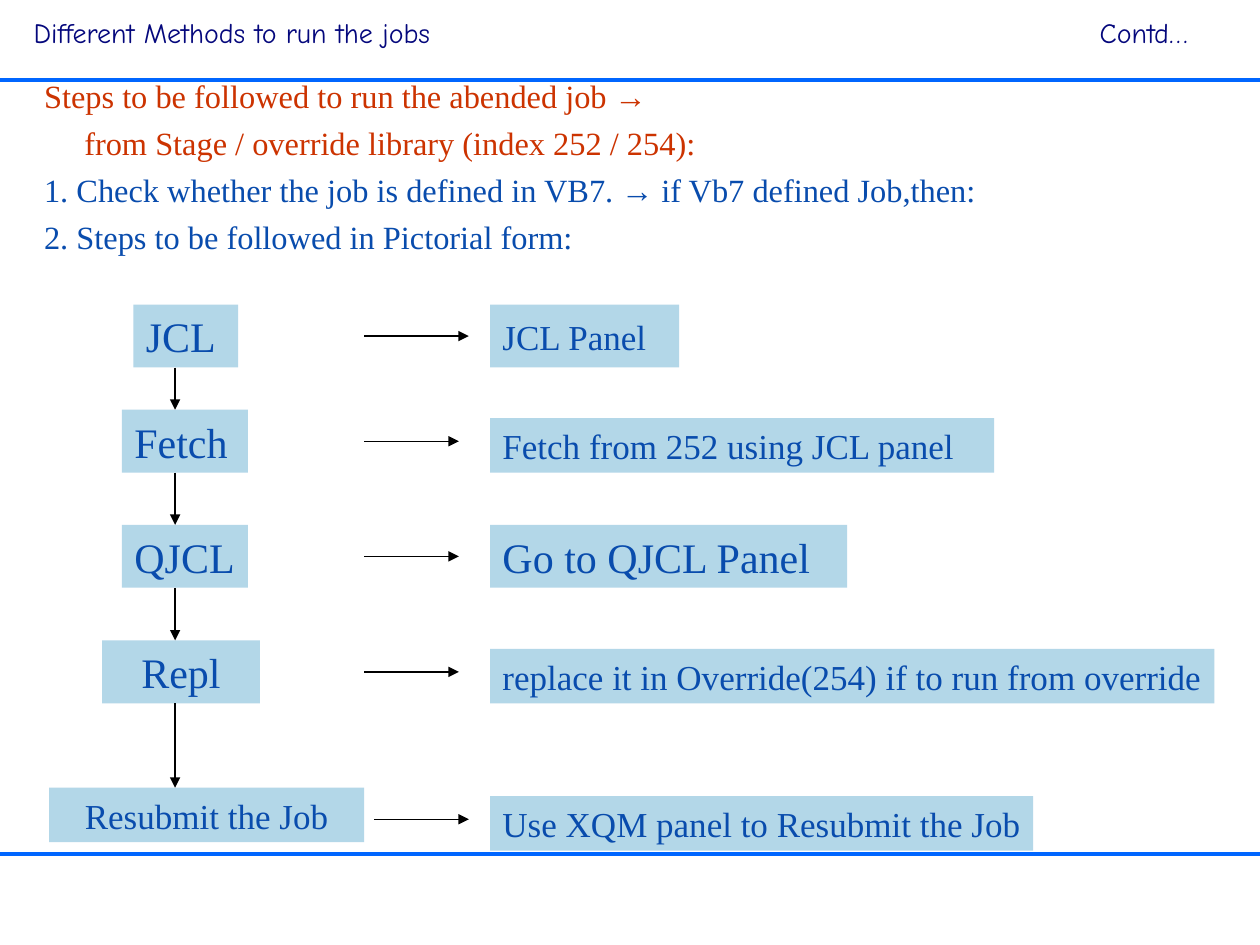
from dataclasses import dataclass

from lxml import etree
from pptx import Presentation
from pptx.dml.color import RGBColor
from pptx.enum.shapes import MSO_CONNECTOR, MSO_SHAPE
from pptx.enum.text import MSO_ANCHOR, PP_ALIGN
from pptx.oxml.ns import qn
from pptx.util import Cm, Pt

STRAIGHT = MSO_CONNECTOR.STRAIGHT
RECT = MSO_SHAPE.RECTANGLE
MIDDLE = MSO_ANCHOR.MIDDLE
LEFT, CENTER = PP_ALIGN.LEFT, PP_ALIGN.CENTER


@dataclass(frozen=True)
class Theme:
    title: RGBColor = RGBColor(0x04, 0x07, 0x7C)
    heading: RGBColor = RGBColor(0xCC, 0x33, 0x00)
    body: RGBColor = RGBColor(0x09, 0x4C, 0xAD)
    box: RGBColor = RGBColor(0xB3, 0xD7, 0xE8)
    rule: RGBColor = RGBColor(0x00, 0x66, 0xFF)
    arrow: RGBColor = RGBColor(0x00, 0x00, 0x00)
    title_font: str = "Comic Neue"
    body_font: str = "Times New Roman"
    symbol_font: str = "Arial"
    title_size: float = 16
    intro_size: float = 18.5
    large: float = 24
    small: float = 20


T = Theme()
ROW_H, LOW_H = 1.27, 1.1
INTRO = [
    (["Steps to be followed to run the abended job ", "→"], T.heading, 0),
    (["from Stage / override library (index 252 / 254):"], T.heading, 0.81),
    (["1. Check whether the job is defined in VB7. ", "→",
      " if Vb7 defined Job,then:"], T.body, 0),
    (["2. Steps to be followed in Pictorial form:"], T.body, 0),
]
ROWS = [
    (0, ("JCL", 1.7, 2.11, ROW_H, T.large, LEFT), (6.35, 8.46),
     ("JCL Panel", 3.81, ROW_H, T.small)),
    (2.12, ("Fetch", 1.47, 2.54, ROW_H, T.large, LEFT), (6.35, 8.26),
     ("Fetch from 252 using JCL panel", 10.16, LOW_H, T.small)),
    (4.44, ("QJCL", 1.47, 2.54, ROW_H, T.large, LEFT), (6.35, 8.26),
     ("Go to QJCL Panel", 7.2, ROW_H, T.large)),
    (6.77, ("Repl", 1.07, 3.18, ROW_H, T.large, CENTER), (6.35, 8.26),
     ("replace it in Override(254) if to run from override",
      14.6, LOW_H, T.small)),
    (9.74, ("Resubmit the Job", 0, 6.35, LOW_H, T.small, CENTER), (6.55, 8.46),
     ("Use XQM panel to Resubmit the Job", 10.95, LOW_H, T.small)),
]


def set_font(font, name, size, color):
    font.name = name
    font.size = Pt(size)
    font.color.rgb = color


def add_line(s, x1, y1, x2, y2, color, width, arrow=False):
    c = s.shapes.add_connector(STRAIGHT, Cm(x1), Cm(y1), Cm(x2), Cm(y2))
    c.line.color.rgb = color
    c.line.width = Pt(width)
    if arrow:
        ln = c.line._get_or_add_ln()
        etree.SubElement(ln, qn("a:tailEnd"), type="triangle")
    etree.SubElement(c._element.spPr, qn("a:effectLst"))


def add_text(s, left, top, width, height):
    tf = s.shapes.add_textbox(Cm(left), Cm(top), Cm(width), Cm(height)).text_frame
    tf.word_wrap = True
    return tf


def add_box(s, left, top, width, height, text, size, align=LEFT):
    sp = s.shapes.add_shape(RECT, Cm(left), Cm(top), Cm(width), Cm(height))
    sp.shadow.inherit = False
    sp.fill.solid()
    sp.fill.fore_color.rgb = T.box
    sp.line.fill.background()
    tf = sp.text_frame
    tf.word_wrap = True
    tf.vertical_anchor = MIDDLE
    if align == LEFT:
        tf.margin_right = 0
    p = tf.paragraphs[0]
    p.text = text
    p.alignment = align
    set_font(p.font, T.body_font, size, T.body)


def add_title(s, left, top, width, height):
    tf = add_text(s, left, top, width, height)
    tf.vertical_anchor = MIDDLE
    p = tf.paragraphs[0]
    p.text = "Different Methods to run the jobs\tContd…"
    tabs = etree.SubElement(p._p.get_or_add_pPr(), qn("a:tabLst"))
    etree.SubElement(tabs, qn("a:tab"), pos=str(Cm(21.49)), algn="l")
    p.line_spacing = 0.95
    set_font(p.font, T.title_font, T.title_size, T.title)


def add_intro(s, left, top, width, height):
    tf = add_text(s, left, top, width, height)
    for i, (parts, color, indent) in enumerate(INTRO):
        p = tf.add_paragraph() if i else tf.paragraphs[0]
        p.line_spacing = 0.65
        if i:
            p.space_before = Pt(12.5)
        if indent:
            p._p.get_or_add_pPr().set("marL", str(Cm(indent)))
        set_font(p.font, T.body_font, T.intro_size, color)
        for part in parts:
            r = p.add_run()
            r.text = part
            if part == "→":
                r.font.name = T.symbol_font


def add_flow(s, left, top):
    spine, details = left + 2.54, left + 8.89
    previous_bottom = None
    for offset, step, (start, end), detail in ROWS:
        y = top + offset
        text, x, width, height, size, align = step
        add_box(s, left + x, y, width, height, text, size, align)
        if previous_bottom is not None:
            add_line(s, spine, previous_bottom, spine, y, T.arrow, 0.75, True)
        previous_bottom = y + height
        middle = y + ROW_H / 2
        add_line(s, left + start, middle, left + end, middle, T.arrow, 0.75, True)
        text, width, height, size = detail
        add_box(s, details, y + ROW_H - height, width, height, text, size)


def main():
    prs = Presentation()
    prs.slide_width, prs.slide_height = Cm(25.4), Cm(19.05)
    s = prs.slides.add_slide(prs.slide_layouts[6])
    for y in (1.62, 17.22):
        add_line(s, 0, y, 25.4, y, T.rule, 2.25)
    add_title(s, 0.43, 0.26, 24.56, 0.84)
    add_intro(s, 0.64, 1.65, 23.93, 3.81)
    add_flow(s, 0.99, 6.14)
    prs.save("out.pptx")


if __name__ == "__main__":
    main()
